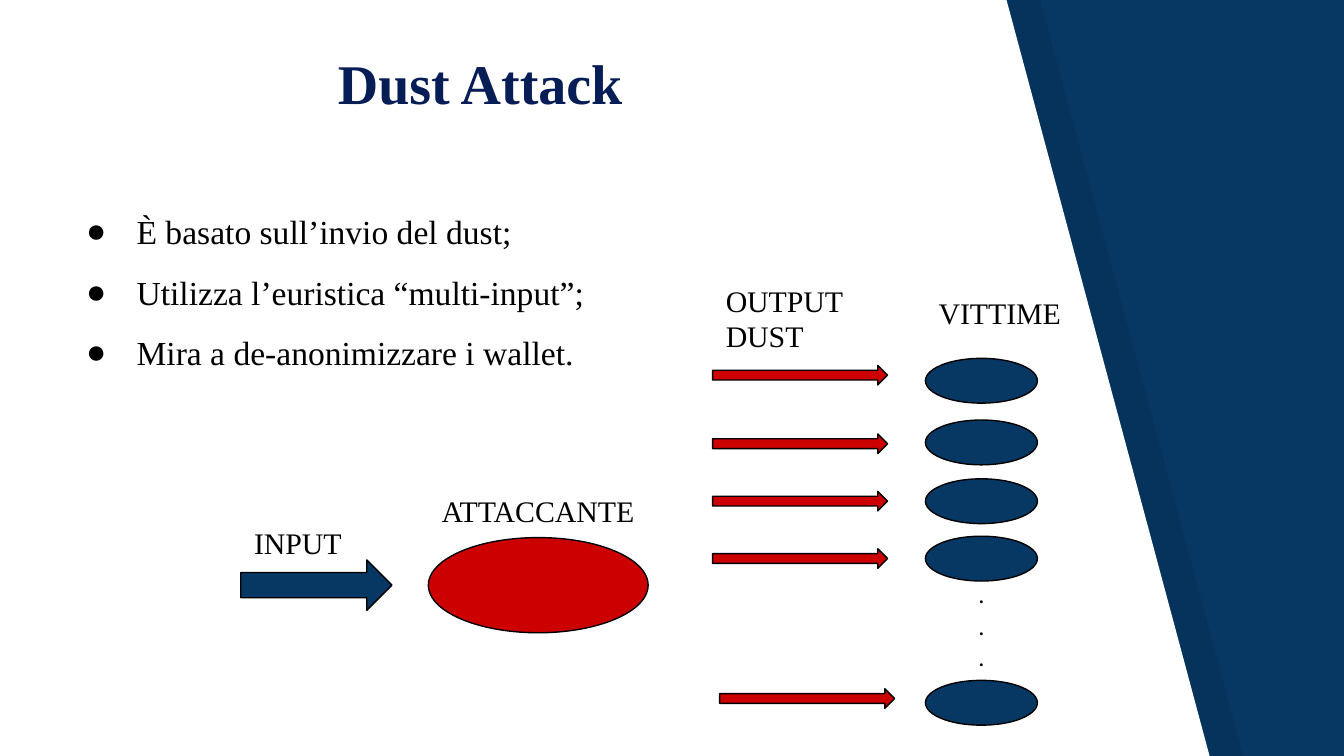
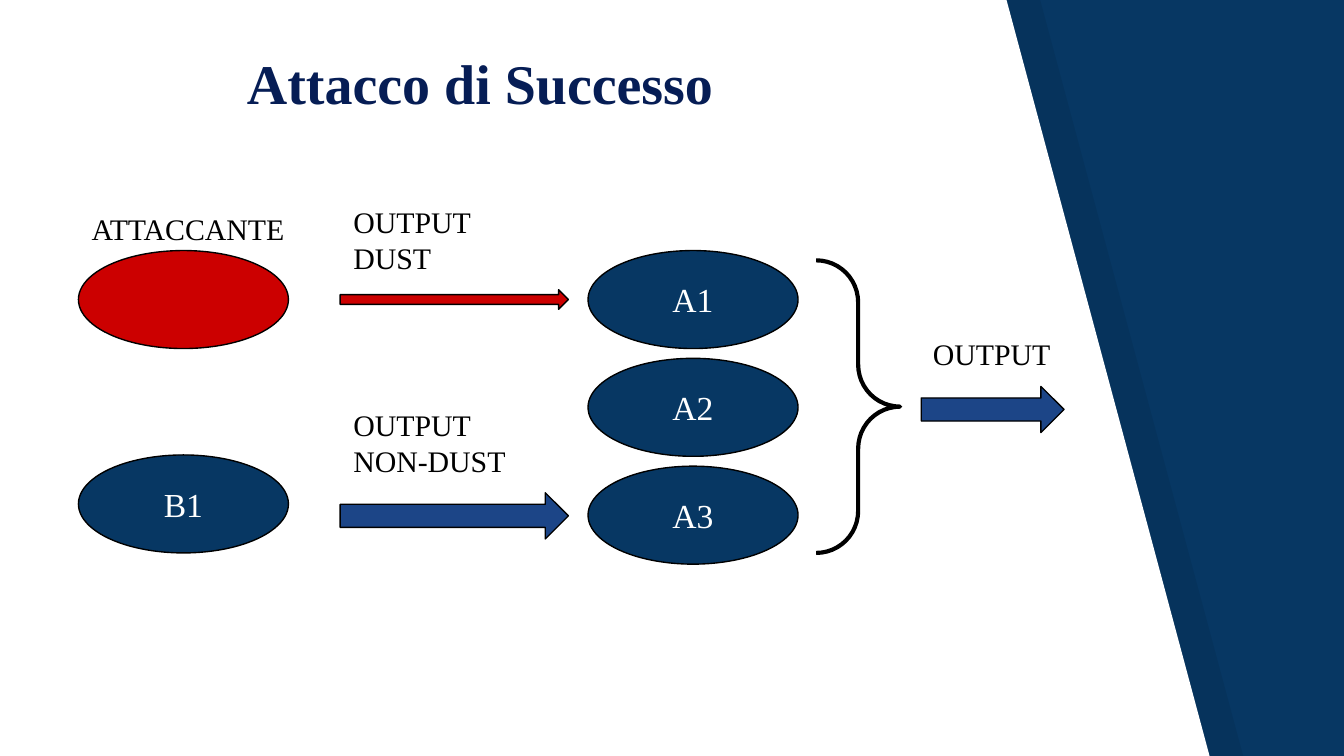
from dataclasses import dataclass

from lxml.etree import SubElement
from pptx import Presentation
from pptx.dml.color import RGBColor
from pptx.enum.shapes import MSO_SHAPE
from pptx.enum.text import MSO_ANCHOR, MSO_AUTO_SIZE, PP_ALIGN
from pptx.oxml.ns import qn
from pptx.util import Pt

EMU_PER_PX = 9525
WIDTH, HEIGHT = 960, 540


@dataclass(frozen=True)
class Theme:
    navy: str = "073763"
    blue: str = "1C4587"
    red: str = "CC0000"
    title: str = "061D55"
    ink: str = "000000"
    paper: str = "FFFFFF"
    serif: str = "Times New Roman"
    dots: str = "Karla"
    title_size: int = 30
    body_size: int = 18
    label_size: int = 16
    dots_size: int = 14
    outline: float = 0.75
    brace: float = 2.25
    inset: float = 7.2


@dataclass(frozen=True)
class Box:
    left: int
    top: int
    width: int
    height: int

    def inner(self, x, y, width, height):
        return Box(self.left + x, self.top + y, width, height)

    def emu(self):
        return [px(n) for n in (self.left, self.top, self.width, self.height)]


THEME = Theme()


def px(length):
    return length * EMU_PER_PX


def rgb(color):
    return RGBColor.from_string(color)


def write(frame, text, size, color=THEME.ink, font=THEME.serif, bold=False,
          align=PP_ALIGN.LEFT, anchor=MSO_ANCHOR.TOP, fit=MSO_AUTO_SIZE.NONE):
    frame.text = text
    frame.word_wrap = True
    frame.auto_size = fit
    frame.vertical_anchor = anchor
    frame.margin_left = frame.margin_right = Pt(THEME.inset)
    frame.margin_top = frame.margin_bottom = Pt(THEME.inset)
    for paragraph in frame.paragraphs:
        paragraph.alignment = align
        for run in paragraph.runs:
            run.font.name = font
            run.font.size = Pt(size)
            run.font.bold = bold
            run.font.color.rgb = rgb(color)


def add_label(slide, box, text, size=THEME.label_size, font=THEME.serif):
    label = slide.shapes.add_textbox(*box.emu())
    write(label.text_frame, text, size, font=font, fit=MSO_AUTO_SIZE.SHAPE_TO_FIT_TEXT)


def add_figure(slide, kind, box, color=None, weight=THEME.outline):
    figure = slide.shapes.add_shape(kind, *box.emu())
    figure.shadow.inherit = False
    if color:
        figure.fill.solid()
        figure.fill.fore_color.rgb = rgb(color)
    else:
        figure.fill.background()
    figure.line.color.rgb = rgb(THEME.ink)
    figure.line.width = Pt(weight)
    return figure


def add_arrow(slide, box, color):
    add_figure(slide, MSO_SHAPE.RIGHT_ARROW, box, color)


def add_wallet(slide, box, color=THEME.navy, name=""):
    wallet = add_figure(slide, MSO_SHAPE.OVAL, box, color)
    if name:
        write(wallet.text_frame, name, THEME.body_size, THEME.paper,
              align=PP_ALIGN.CENTER, anchor=MSO_ANCHOR.MIDDLE)


def dress_master(master, slide):
    master.background.fill.solid()
    master.background.fill.fore_color.rgb = rgb(THEME.navy)
    for order, (offset, color, opacity) in enumerate(
            [(24, THEME.ink, 7), (0, THEME.paper, 100)]):
        builder = slide.shapes.build_freeform(offset, 0, scale=EMU_PER_PX)
        builder.add_line_segments(
            [(offset, HEIGHT), (offset + 864, HEIGHT), (offset + 719, 0)], close=True)
        panel = builder.convert_to_shape()
        panel.shadow.inherit = False
        panel.fill.solid()
        panel.fill.fore_color.rgb = rgb(color)
        panel.line.fill.background()
        element = panel._element
        if opacity < 100:
            tint = element.spPr.find(".//" + qn("a:srgbClr"))
            SubElement(tint, qn("a:alpha")).set("val", str(opacity * 1000))
        element.nvSpPr.cNvPr.set("id", str(100 + order))
        master.shapes._spTree.insert(2 + order, element)


def place(placeholder, box):
    placeholder.left, placeholder.top, placeholder.width, placeholder.height = box.emu()


def add_title(slide, text):
    title = slide.shapes.title
    place(title, Box(91, 49, 504, 43))
    write(title.text_frame, text, THEME.title_size, THEME.title, bold=True,
          align=PP_ALIGN.CENTER, anchor=MSO_ANCHOR.BOTTOM)


def fill_body(slide, box, points):
    body = slide.placeholders[1]
    place(body, box)
    write(body.text_frame, "\n".join(points), THEME.body_size)
    for paragraph in body.text_frame.paragraphs:
        properties = paragraph._p.get_or_add_pPr()
        properties.set("marL", str(px(48)))
        properties.set("indent", str(px(-36)))
        bullet_color = SubElement(properties, qn("a:buClr"))
        SubElement(bullet_color, qn("a:srgbClr")).set("val", THEME.ink)
        SubElement(properties, qn("a:buFont")).set("typeface", THEME.serif)
        SubElement(properties, qn("a:buChar")).set("char", "●")
        paragraph.line_spacing = 1.5
        paragraph.space_before = Pt(0)


def draw_attacker(slide, box):
    add_wallet(slide, box.inner(134, 42, 157, 68), THEME.red)
    add_arrow(slide, box.inner(0, 58, 108, 36), THEME.navy)
    add_label(slide, box.inner(0, 23, 111, 45), "INPUT")
    add_label(slide, box.inner(134, 0, 197, 45), "ATTACCANTE")


def draw_victims(slide, box):
    rows = [(0, 69, 64), (0, 118, 108), (0, 159, 150), (0, 200, 191), (5, 300, 294)]
    for arrow_left, arrow_top, victim_top in rows:
        add_arrow(slide, box.inner(arrow_left, arrow_top, 125, 14), THEME.red)
        add_wallet(slide, box.inner(152, victim_top, 80, 32))
    add_label(slide, box.inner(181, 211, 23, 87), ".\n.\n.", THEME.dots_size, THEME.dots)
    add_label(slide, box.inner(0, 0, 161, 71), "OUTPUT DUST")
    add_label(slide, box.inner(152, 9, 161, 45), "VITTIME")


def draw_senders(slide, box):
    add_label(slide, box.inner(0, 5, 187, 45), "ATTACCANTE")
    senders = [
        (0, 43, 71, 14, THEME.red, THEME.red, "", "OUTPUT DUST"),
        (145, 189, 216, 33, THEME.navy, THEME.blue, "B1", "OUTPUT NON-DUST"),
    ]
    for (label_top, wallet_top, arrow_top, arrow_height,
         wallet_color, arrow_color, name, output) in senders:
        add_wallet(slide, box.inner(0, wallet_top, 150, 70), wallet_color, name)
        add_arrow(slide, box.inner(187, arrow_top, 163, arrow_height), arrow_color)
        add_label(slide, box.inner(187, label_top, 153, 71), output)


def draw_cluster(slide, box):
    for row, name in enumerate(["A1", "A2", "A3"]):
        add_wallet(slide, box.inner(0, 77 * row, 150, 70), name=name)
    brace = add_figure(slide, MSO_SHAPE.RIGHT_BRACE, box.inner(163, 7, 60, 209),
                       weight=THEME.brace)
    brace.adjustments[0] = brace.adjustments[1] = 0.5
    add_arrow(slide, box.inner(238, 97, 102, 33), THEME.blue)
    add_label(slide, box.inner(237, 51, 153, 45), "OUTPUT")


def build_dust_attack(slide):
    add_title(slide, "Dust Attack")
    fill_body(slide, Box(40, 127, 608, 135), [
        "È basato sull’invio del dust;",
        "Utilizza l’euristica “multi-input”;",
        "Mira a de-anonimizzare i wallet.",
    ])
    draw_attacker(slide, Box(172, 342, 331, 110))
    draw_victims(slide, Box(509, 192, 313, 326))


def build_successful_attack(slide):
    add_title(slide, "Attacco di Successo")
    draw_senders(slide, Box(56, 136, 350, 259))
    draw_cluster(slide, Box(420, 179, 390, 224))


def main():
    deck = Presentation()
    deck.slide_width, deck.slide_height = px(WIDTH), px(HEIGHT)
    dust_attack = deck.slides.add_slide(deck.slide_layouts[1])
    successful_attack = deck.slides.add_slide(deck.slide_layouts[5])
    dress_master(deck.slide_master, dust_attack)
    build_dust_attack(dust_attack)
    build_successful_attack(successful_attack)
    deck.save("out.pptx")


if __name__ == "__main__":
    main()
